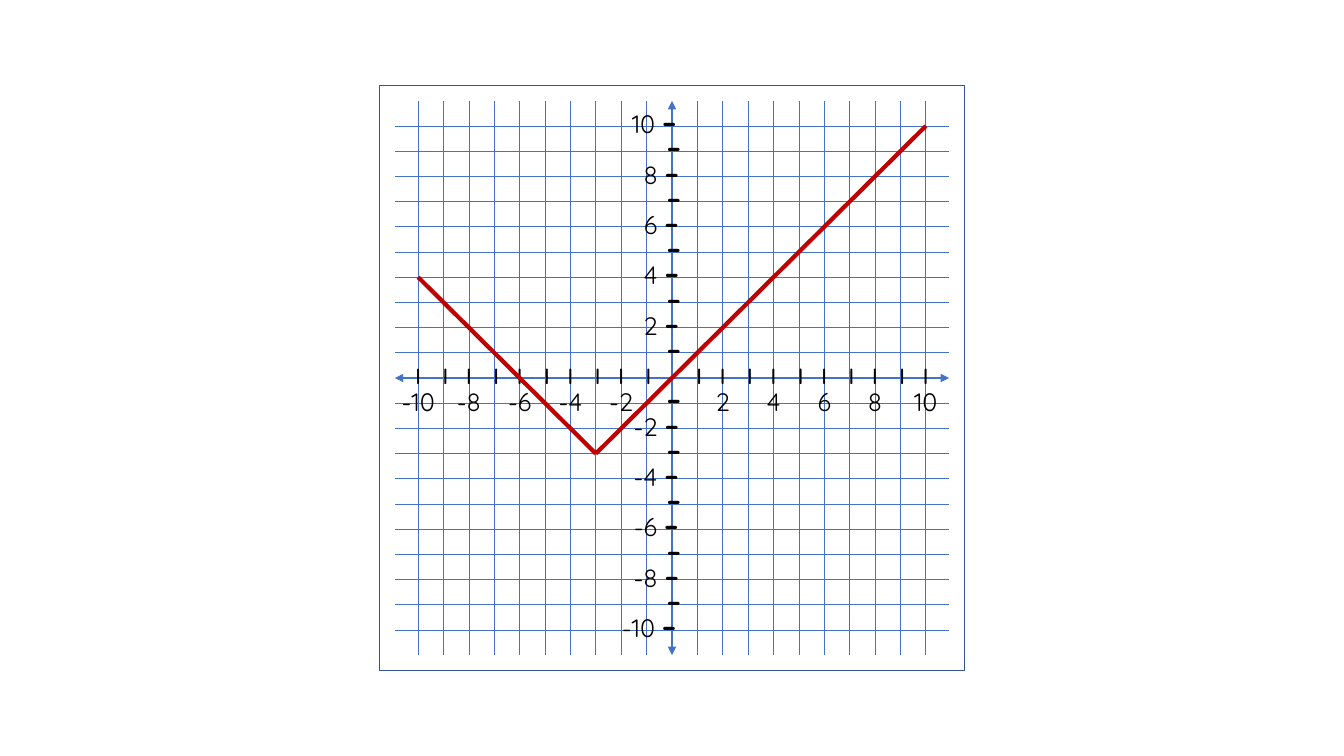
"""Draws a coordinate grid with the graph of y = |x + 3| - 3."""
from dataclasses import dataclass

from lxml import etree
from pptx import Presentation
from pptx import util as u
from pptx.dml.color import RGBColor
from pptx.enum import shapes, text
from pptx.oxml.ns import qn

GRAPH = [(-10, 4), (-3, -3), (10, 10)]
TICKS = [n for n in range(-10, 11) if n]
DASH, BAR = "\u2013", "|"


@dataclass(frozen=True)
class Theme:
    grid: str = "4472C4"
    frame: str = "325491"
    graph: str = "C00000"
    ink: str = "000000"
    font: str = "Quicksand"
    number: int = 18
    dash: int = 20
    bar: int = 12


THEME = Theme()
WIDTH, HEIGHT = 960, 540
CENTER_X, CENTER_Y = WIDTH / 2, HEIGHT / 2
UNIT_X, UNIT_Y = 18.13, 18
REACH, FRAME = 198, 417.6
DASH_RISE, BAR_RISE = 18, 12.2

deck = Presentation()
deck.slide_width, deck.slide_height = u.Pt(WIDTH), u.Pt(HEIGHT)
slide = deck.slides.add_slide(deck.slide_layouts[6])


def spot(x, y):
    return CENTER_X + x * UNIT_X, CENTER_Y - y * UNIT_Y


def add_line(start, end, color, weight, arrows=False):
    line = slide.shapes.add_connector(
        shapes.MSO_CONNECTOR.STRAIGHT, *map(u.Pt, (*start, *end)))
    line.line.color.rgb = RGBColor.from_string(color)
    line.line.width = u.Pt(weight)
    properties = line._element.spPr
    if arrows:
        for end_tag in ("a:headEnd", "a:tailEnd"):
            etree.SubElement(properties.find(qn("a:ln")), qn(end_tag), type="triangle")
    etree.SubElement(properties, qn("a:effectLst"))


def add_text(paragraphs, *, center, top, width, height):
    box = slide.shapes.add_textbox(
        *map(u.Pt, (center - width / 2, top, width, height)))
    frame = box.text_frame
    frame.word_wrap = False
    frame.auto_size = text.MSO_AUTO_SIZE.SHAPE_TO_FIT_TEXT
    for index, runs in enumerate(paragraphs):
        paragraph = frame.paragraphs[0] if index == 0 else frame.add_paragraph()
        paragraph.alignment = text.PP_ALIGN.CENTER
        for words, size, bold in runs:
            run = paragraph.add_run()
            run.text = words
            run.font.name = THEME.font
            run.font.size = u.Pt(size)
            run.font.bold = bold
            run.font.color.rgb = RGBColor.from_string(THEME.ink)


def add_vertical(x, weight, arrows=False):
    add_line((x, CENTER_Y - REACH), (x, CENTER_Y + REACH), THEME.grid, weight, arrows)


def add_horizontal(y, weight, arrows=False):
    add_line((CENTER_X + REACH, y), (CENTER_X - REACH, y), THEME.grid, weight, arrows)


def add_y_tick(value):
    runs, center, width = [(DASH, THEME.dash, True)], CENTER_X, 21.6
    if value % 2 == 0:
        label = str(value)
        runs.insert(0, (label + " ", THEME.number, False))
        width = 36 + 7.2 * len(label)
        right = 492.5 if abs(value) == 10 else 494
        center = right - width / 2
    top = spot(0, value)[1] - DASH_RISE
    add_text([runs], center=center, top=top, width=width, height=31.5)


def add_x_tick(value):
    paragraphs, width, height = [[(BAR, THEME.bar, True)]], 14.4, 21.8
    if value % 2 == 0:
        label = str(value)
        paragraphs.append([(label, THEME.number, False)])
        width, height = 46 if len(label) > 2 else 36, 44
    add_text(paragraphs, center=spot(value, 0)[0], top=CENTER_Y - BAR_RISE,
             width=width, height=height)


add_vertical(CENTER_X, 2, arrows=True)
add_horizontal(CENTER_Y, 2, arrows=True)
for tick in TICKS:
    x, y = spot(tick, tick)
    add_vertical(x, 0.5)
    add_horizontal(y, 0.5)

border = slide.shapes.add_shape(
    shapes.MSO_SHAPE.RECTANGLE,
    *map(u.Pt, (CENTER_X - FRAME / 2, CENTER_Y - FRAME / 2, FRAME, FRAME)))
border.shadow.inherit = False
border.fill.background()
border.line.color.rgb = RGBColor.from_string(THEME.frame)
border.line.width = u.Pt(1)

for tick in TICKS:
    add_y_tick(tick)
    add_x_tick(tick)

for start, end in zip(GRAPH, GRAPH[1:]):
    add_line(spot(*start), spot(*end), THEME.graph, 3)

deck.save("out.pptx")
